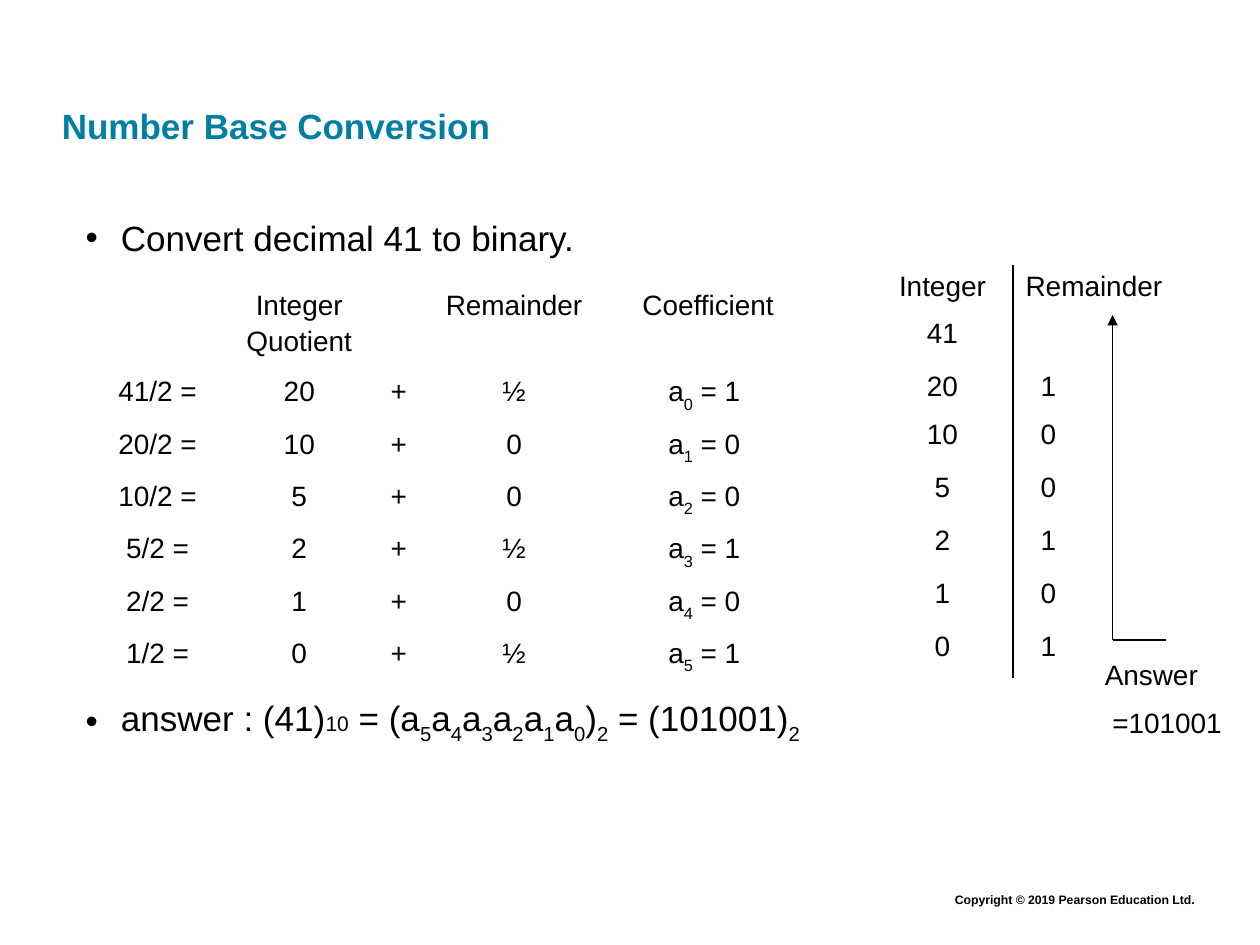
from dataclasses import dataclass

from lxml.etree import SubElement
from pptx import Presentation
from pptx.dml.color import RGBColor
from pptx.enum.shapes import MSO_CONNECTOR
from pptx.enum.text import MSO_ANCHOR, MSO_AUTO_SIZE, PP_ALIGN
from pptx.oxml import parse_xml
from pptx.oxml.ns import nsdecls, qn
from pptx.util import Inches, Pt


@dataclass(frozen=True)
class Theme:
    font: str = "Arial"
    ink: RGBColor = RGBColor(0x00, 0x00, 0x00)
    accent: RGBColor = RGBColor(0x00, 0x7F, 0xA3)
    heading: int = 20
    small_base: int = 12
    label: int = 16
    credit: int = 7


THEME = Theme()
NO_GRID_STYLE = "{2D5ABB26-0587-4C30-8999-92F81FD0307C}"

# Content: a line is a list of (text, kind) runs
PLAIN, SUB, SMALL = "plain", "sub", "small"
TITLE = "Number Base Conversion"
TASK = [("Convert decimal 41 to binary.", PLAIN)]
COEFFICIENTS = [run for i in range(5, -1, -1) for run in (("a", PLAIN), (str(i), SUB))]
RESULT = [("answer : (41)", PLAIN), ("10", SMALL), (" = (", PLAIN), *COEFFICIENTS,
          (")", PLAIN), ("2", SUB), (" = (101001)", PLAIN), ("2", SUB)]
DIVISION_HEADER = [[], ["Integer", "Quotient"], [], ["Remainder"], ["Coefficient"]]
QUOTIENTS = [41, 20, 10, 5, 2, 1, 0]
REMAINDERS = [n % 2 for n in QUOTIENTS[:-1]]
ANSWER = ["Answer", "=101001"]
COPYRIGHT = "Copyright © 2019 Pearson Education Ltd."


def add_runs(paragraph, runs, size, color=THEME.ink, bold=False):
    for text, kind in runs:
        run = paragraph.add_run()
        run.text = text
        font = run.font
        font.name, font.bold = THEME.font, bold
        font.size = Pt(THEME.small_base if kind == SMALL else size)
        font.color.rgb = color
        if kind == SUB:
            run._r.get_or_add_rPr().set("baseline", "-30000")


def set_indent(paragraph, left, first=0):
    props = paragraph._p.get_or_add_pPr()
    props.set("marL", str(Inches(left)))
    props.set("indent", str(Inches(first)))


def add_lines(frame, lines, size, align, gap):
    for i, runs in enumerate(lines):
        paragraph = frame.paragraphs[0] if i == 0 else frame.add_paragraph()
        paragraph.alignment = align
        paragraph.space_before = Pt(gap if i else 0)
        add_runs(paragraph, runs, size)


def place(shape, left, top, width, height):
    shape.left, shape.top = Inches(left), Inches(top)
    shape.width, shape.height = Inches(width), Inches(height)


def add_plain_table(slide, left, top, widths, heights):
    table = slide.shapes.add_table(
        len(heights), len(widths), Inches(left), Inches(top),
        Inches(sum(widths)), Inches(sum(heights))).table
    table.first_row = table.horz_banding = False
    table._tbl.tblPr.find(qn("a:tableStyleId")).text = NO_GRID_STYLE
    for column, width in zip(table.columns, widths):
        column.width = Inches(width)
    for row, height in zip(table.rows, heights):
        row.height = Inches(height)
    return table


def fill_cell(cell, lines, align=PP_ALIGN.CENTER):
    cell.fill.background()
    add_lines(cell.text_frame, lines, THEME.label, align, 0.2 * THEME.label)


def add_border(cell, side):
    border = parse_xml(
        f'<a:{side} {nsdecls("a")} w="{Pt(1)}"><a:solidFill>'
        f'<a:srgbClr val="{THEME.ink}"/></a:solidFill></a:{side}>')
    cell._tc.get_or_add_tcPr().insert(0, border)


def add_line(slide, start, end, arrow=False):
    connector = slide.shapes.add_connector(
        MSO_CONNECTOR.STRAIGHT, *map(Inches, start + end))
    connector.line.color.rgb = THEME.ink
    connector.line.width = Pt(0.75)
    if arrow:
        SubElement(connector.line._get_or_add_ln(), qn("a:tailEnd"), type="triangle")
    SubElement(connector._element.spPr, qn("a:effectLst"))


def add_label(slide, left, top, width, height):
    box = slide.shapes.add_textbox(*map(Inches, (left, top, width, height)))
    box.text_frame.word_wrap = True
    return box.text_frame


def add_title_and_bullets(slide):
    title = slide.shapes.title
    place(title, 0.49, 0.48, 9.18, 1.03)
    frame = title.text_frame
    frame.margin_left = frame.margin_right = frame.margin_top = frame.margin_bottom = 0
    frame.vertical_anchor = MSO_ANCHOR.MIDDLE
    frame.auto_size = MSO_AUTO_SIZE.NONE
    frame.paragraphs[0].alignment = PP_ALIGN.LEFT
    add_runs(frame.paragraphs[0], [(TITLE, PLAIN)], THEME.heading, THEME.accent, True)

    body = slide.placeholders[1]
    place(body, 0.58, 1.67, 8.75, 5.67)
    body.text_frame.auto_size = MSO_AUTO_SIZE.NONE
    # The gap between the bullets leaves room for the tables
    add_lines(body.text_frame, [TASK, RESULT], THEME.heading, PP_ALIGN.LEFT, 250)
    for paragraph in body.text_frame.paragraphs:
        set_indent(paragraph, 0.28, -0.28)


def add_division_table(slide):
    steps = len(REMAINDERS)
    table = add_plain_table(slide, 0.75, 2.25, [1, 1.25, 0.33, 1.5, 1.58],
                            [0.69] + [2.49 / steps] * steps)
    rows = [[[[(line, PLAIN)] for line in lines] for lines in DIVISION_HEADER]]
    for i, bit in enumerate(REMAINDERS):
        texts = [f"{QUOTIENTS[i]}/2 =", str(QUOTIENTS[i + 1]), "+", "½" if bit else "0"]
        coefficient = [("a", PLAIN), (str(i), SUB), (f" = {bit} ", PLAIN)]
        rows.append([[[(text, PLAIN)]] for text in texts] + [[coefficient]])
    for r, row in enumerate(rows):
        for c, lines in enumerate(row):
            fill_cell(table.cell(r, c), lines)


def add_remainder_table(slide):
    heights = [0.38, 0.42, 0.38] + [0.42] * 5
    table = add_plain_table(slide, 6.92, 2.1, [1.12, 1.46], heights)
    rows = [("Integer", "Remainder"), *zip(QUOTIENTS, ["", *REMAINDERS])]
    for r, (integer, remainder) in enumerate(rows):
        left, right = table.cell(r, 0), table.cell(r, 1)
        fill_cell(left, [[(str(integer), PLAIN)]])
        fill_cell(right, [[(str(remainder), PLAIN)]] if remainder != "" else [],
                  PP_ALIGN.LEFT)
        if r:
            right.margin_left = Inches(0.22)
        add_border(left, "lnR")
        add_border(right, "lnL")


def add_answer(slide):
    corner = (8.83, 5.08)
    add_line(slide, corner, (9.25, 5.08))
    add_line(slide, corner, (8.83, 2.5), arrow=True)
    frame = add_label(slide, 8.67, 5.17, 1.5, 0.77)
    add_lines(frame, [[(text, PLAIN)] for text in ANSWER], THEME.label,
              PP_ALIGN.LEFT, 0.5 * THEME.label)
    set_indent(frame.paragraphs[1], 0.06)


def add_copyright(slide):
    paragraph = add_label(slide, 1.75, 7.03, 7.83, 0.22).paragraphs[0]
    paragraph.alignment = PP_ALIGN.RIGHT
    add_runs(paragraph, [(COPYRIGHT, PLAIN)], THEME.credit, bold=True)


def main():
    deck = Presentation()
    deck.slide_width, deck.slide_height = Inches(10), Inches(7.5)
    slide = deck.slides.add_slide(deck.slide_layouts[1])
    add_title_and_bullets(slide)
    add_division_table(slide)
    add_remainder_table(slide)
    add_answer(slide)
    add_copyright(slide)
    deck.save("out.pptx")


if __name__ == "__main__":
    main()
